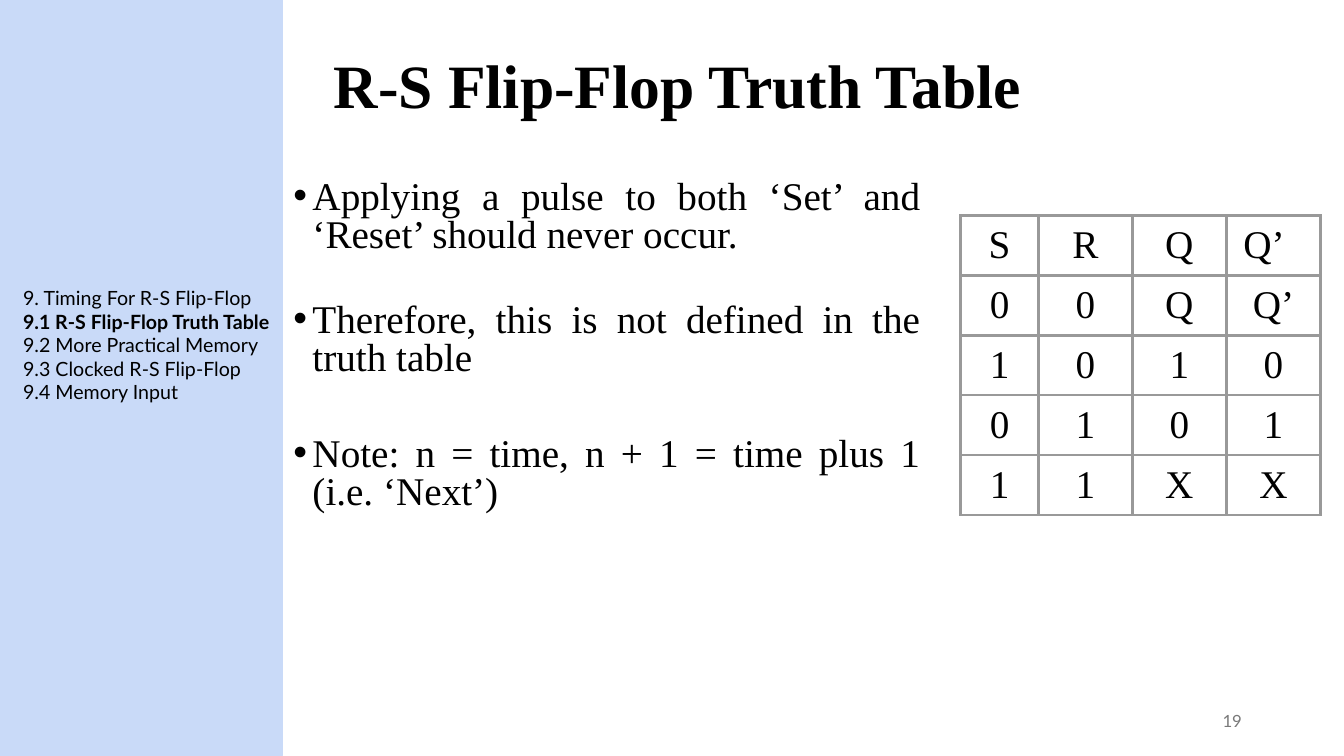
import pptx
import pptx.util
import pptx.dml.color
import pptx.enum.shapes
import pptx.enum.text
import pptx.oxml
import pptx.oxml.ns
from lxml import etree

Inches, Pt = pptx.util.Inches, pptx.util.Pt
RGBColor = pptx.dml.color.RGBColor
ALIGN = pptx.enum.text.PP_ALIGN
ANCHOR = pptx.enum.text.MSO_ANCHOR

BLACK = RGBColor(0x00, 0x00, 0x00)
PALE_BLUE = RGBColor(0xC9, 0xDA, 0xF8)
RULE_GREY = RGBColor(0x99, 0x99, 0x99)
NUMBER_GREY = RGBColor(0x79, 0x79, 0x79)
SERIF, SANS = "Times New Roman", "Lato"

deck = pptx.Presentation()
deck.slide_width, deck.slide_height = Inches(13.333), Inches(7.5)
slide = deck.slides.add_slide(deck.slide_layouts[1])


def area(left, top, width, height):
    """Turn percentages of the slide into a position and size."""
    across, down = deck.slide_width / 100, deck.slide_height / 100
    return int(left * across), int(top * down), int(width * across), int(height * down)


def style(paragraph, font, size, color, bold=False):
    for run in paragraph.runs:
        run.font.name, run.font.size, run.font.bold = font, Pt(size), bold
        run.font.color.rgb = color


# Sidebar band
sidebar = slide.shapes.add_shape(pptx.enum.shapes.MSO_SHAPE.RECTANGLE, *area(0, 0, 21, 100))
sidebar.shadow.inherit = False
sidebar.fill.solid()
sidebar.fill.fore_color.rgb = PALE_BLUE
sidebar.line.color.rgb = PALE_BLUE
sidebar.line.width = Pt(0.75)

# Title
title = slide.shapes.title
title.left, title.top, title.width, title.height = area(24.08, 2, 64.65, 19.33)
title.text_frame.text = "R-S Flip-Flop Truth Table"
title.text_frame.auto_size = pptx.enum.text.MSO_AUTO_SIZE.NONE
title.text_frame.vertical_anchor = ANCHOR.MIDDLE
heading = title.text_frame.paragraphs[0]
heading.alignment, heading.line_spacing = ALIGN.LEFT, 0.9
style(heading, SERIF, 44, BLACK, bold=True)

# Bulleted remarks, each with its space before
remarks = [
    ("Applying a pulse to both ‘Set’ and ‘Reset’ should never occur.", 0),
    ("Therefore, this is not defined in the truth table", 34),
    ("Note: n = time, n + 1 = time plus 1 (i.e. ‘Next’)", 42),
]
body = slide.placeholders[1]
body.left, body.top, body.width, body.height = area(17.85, 23.2, 51.38, 50.13)
body.text_frame.text = "\n".join(text for text, gap in remarks)
body.text_frame.auto_size = pptx.enum.text.MSO_AUTO_SIZE.NONE
for remark, (text, gap) in zip(body.text_frame.paragraphs, remarks):
    remark.alignment, remark.line_spacing = ALIGN.JUSTIFY, 0.8
    remark.space_before = Pt(gap)
    properties = remark._p.get_or_add_pPr()
    properties.set("marL", str(Inches(0.62)))
    properties.set("indent", str(Inches(-0.19)))
    for tag, key, value in (("a:buFont", "typeface", "Arial"), ("a:buChar", "char", "•")):
        etree.SubElement(properties, pptx.oxml.ns.qn(tag)).set(key, value)
    style(remark, SERIF, 28, BLACK)

# Truth table
states = ["S R Q Q’", "0 0 Q Q’", "1 0 1 0", "0 1 0 1", "1 1 X X"]
frame = slide.shapes.add_table(len(states), 4, *area(71.48, 28.53, 27.6, 39.6))
truth = frame.table
truth.first_row = truth.horz_banding = False
for column, share in zip(truth.columns, (0.21, 0.79 / 3, 0.79 / 3, 0.79 / 3)):
    column.width = int(frame.width * share)
for r, state in enumerate(states):
    for c, value in enumerate(state.split()):
        cell = truth.cell(r, c)
        cell.text_frame.text = value
        cell.vertical_anchor = ANCHOR.MIDDLE
        cell.margin_left = cell.margin_right = Inches(0.03)
        cell.margin_top = cell.margin_bottom = Inches(0.03)
        cell.text_frame.paragraphs[0].alignment = ALIGN.CENTER
        style(cell.text_frame.paragraphs[0], SERIF, 28, BLACK)
        cell.fill.background()
        for position, side in enumerate(("lnL", "lnR", "lnT", "lnB")):
            border = pptx.oxml.parse_xml(
                f'<a:{side} {pptx.oxml.ns.nsdecls("a")} w="{Pt(2)}"><a:solidFill>'
                f'<a:srgbClr val="{RULE_GREY}"/></a:solidFill></a:{side}>')
            cell._tc.get_or_add_tcPr().insert(position, border)
truth.cell(0, 3).margin_right = Inches(0.22)  # the last heading sits left of centre

# Page number
page = slide.shapes.add_textbox(*area(70.65, 92.67, 22.5, 5.33)).text_frame
page.word_wrap = True
page.vertical_anchor = ANCHOR.MIDDLE
page.text = "19"
page.paragraphs[0].alignment = ALIGN.RIGHT
style(page.paragraphs[0], SANS, 12, NUMBER_GREY)

# Chapter outline with the current section in bold
sections = [
    "9. Timing For R-S Flip-Flop",
    "9.1 R-S Flip-Flop Truth Table",
    "9.2 More Practical Memory",
    "9.3 Clocked R-S Flip-Flop",
    "9.4 Memory Input",
]
outline = slide.shapes.add_textbox(*area(0.98, 37.2, 20.48, 29.6)).text_frame
outline.word_wrap = True
outline.text = "\n".join(sections)
for section in outline.paragraphs:
    style(section, SANS, 14, BLACK, bold=section.text.startswith("9.1"))

deck.save("out.pptx")
